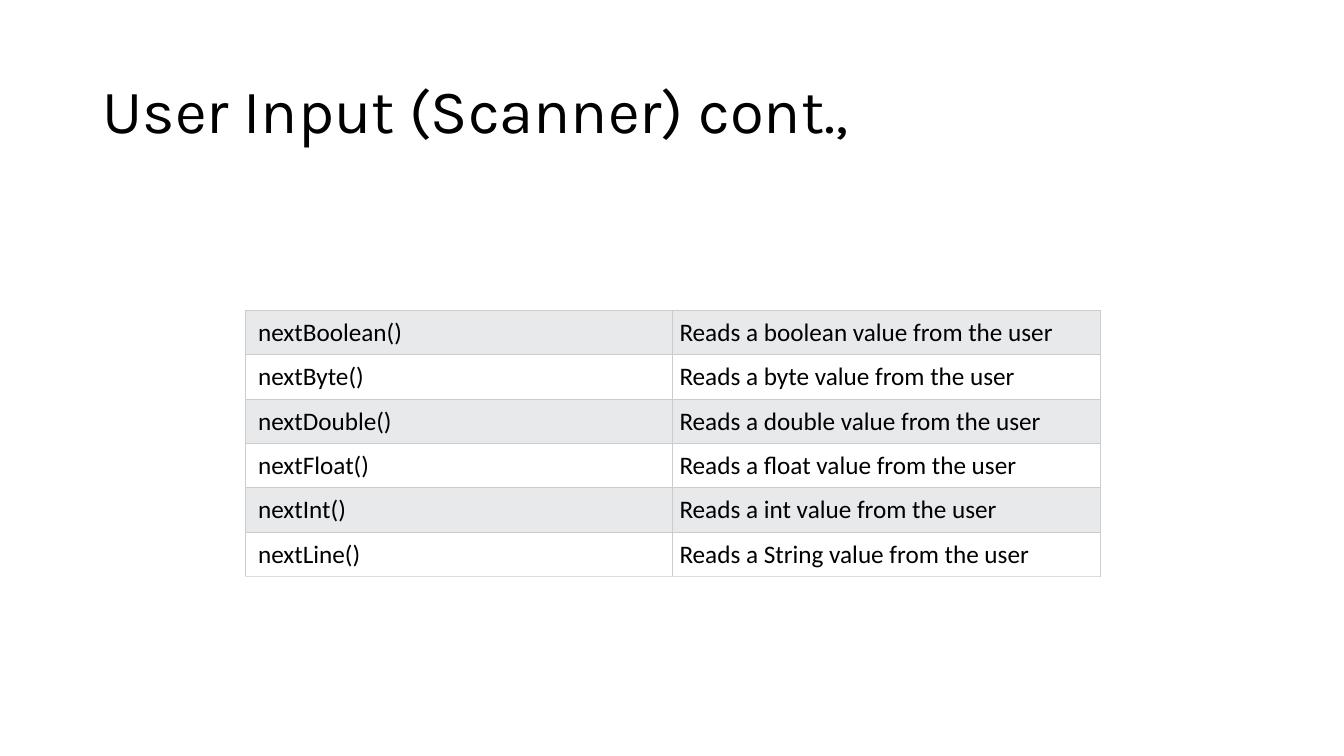
from lxml.etree import SubElement
from pptx import Presentation
from pptx.dml.color import RGBColor as RGB
from pptx.enum.text import MSO_ANCHOR as Anchor
from pptx.oxml.ns import qn
from pptx.util import Inches as In, Pt

BLACK = RGB(0, 0, 0)
WHITE = RGB(255, 255, 255)
BAND = RGB(0xE7, 0xE9, 0xEB)
EDGE = RGB(0xCC, 0xCC, 0xCC)
FOOT = RGB(0xDD, 0xDD, 0xDD)

COL, ROW = 4.24, 0.43
PAD, INDENT = 0.07, 0.13
TYPES = ["boolean", "byte", "double", "float", "int", "String"]


def style(par, name, size):
    font = par.font
    font.name, font.size = name, Pt(size)
    font.color.rgb = BLACK


def add_title(slide, text):
    box = slide.shapes.add_textbox(In(0.92), In(0.4), In(11.5), In(1.45))
    frame = box.text_frame
    frame.word_wrap = True
    frame.vertical_anchor = Anchor.MIDDLE
    frame.text = text
    par = frame.paragraphs[0]
    par.line_spacing = 0.9
    style(par, "Karla", 44)


def add_edges(cell, foot):
    """Draw all four borders; they must precede the fill in the cell's XML."""
    props = cell._tc.get_or_add_tcPr()
    for side in "LRTB":
        line = SubElement(props, qn(f"a:ln{side}"), w=str(Pt(0.6)))
        fill = SubElement(line, qn("a:solidFill"))
        SubElement(fill, qn("a:srgbClr"), val=str(foot if side == "B" else EDGE))


def fill_cell(cell, text, left, back, foot):
    add_edges(cell, foot)
    cell.fill.solid()
    cell.fill.fore_color.rgb = back
    cell.margin_left = In(left)
    cell.margin_right = cell.margin_top = cell.margin_bottom = In(PAD)
    cell.text = text
    style(cell.text_frame.paragraphs[0], "Calibri", 18)


def add_methods(slide):
    count = len(TYPES)
    frame = slide.shapes.add_table(
        count, 2, In(2.43), In(3.08), In(2 * COL), In(count * ROW))
    table = frame.table
    table.first_row = table.horz_banding = False
    for i, kind in enumerate(TYPES):
        back = WHITE if i % 2 else BAND
        foot = FOOT if i == count - 1 else EDGE
        method = "Line" if kind == "String" else kind.capitalize()
        fill_cell(table.cell(i, 0), f"next{method}()", INDENT, back, foot)
        fill_cell(table.cell(i, 1), f"Reads a {kind} value from the user",
                  PAD, back, foot)


def main():
    deck = Presentation()
    deck.slide_width, deck.slide_height = In(13.33), In(7.5)
    slide = deck.slides.add_slide(deck.slide_layouts[6])
    add_title(slide, "User Input (Scanner) cont.,")
    add_methods(slide)
    deck.save("out.pptx")


if __name__ == "__main__":
    main()
